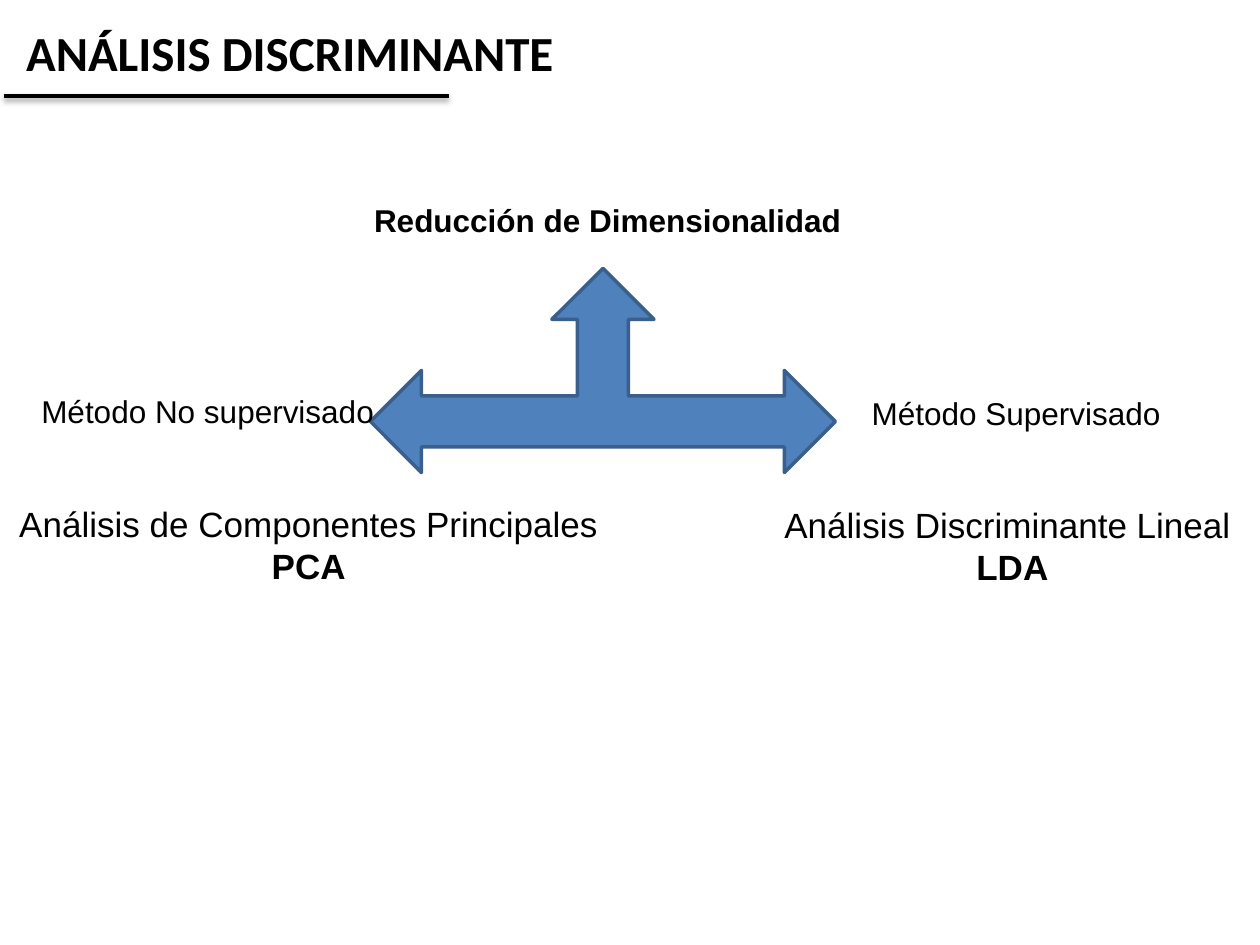
from lxml import etree
from pptx import Presentation
from pptx import util as u
from pptx.dml.color import RGBColor
from pptx.enum import shapes, text
from pptx.oxml import parse_xml
from pptx.oxml.ns import nsdecls

I = u.Inches
BLACK, BLUE, DARK_BLUE = "000000", "4F81BD", "3A5F8C"


def colour(value):
    """Turn a hex string into a colour."""
    return RGBColor.from_string(value)


def add_label(slide, box, lines, size, bold_lines=(), font="Arial", align=None):
    """Write unwrapped lines of text in a box, some of them bold."""
    label = slide.shapes.add_textbox(*map(I, box))
    frame = label.text_frame
    frame.text = "\n".join(lines)
    frame.word_wrap = False
    frame.auto_size = text.MSO_AUTO_SIZE.SHAPE_TO_FIT_TEXT
    for index, paragraph in enumerate(frame.paragraphs):
        paragraph.alignment = align
        for run in paragraph.runs:
            run.font.name = font
            run.font.size = u.Pt(size)
            run.font.bold = index in bold_lines
            run.font.color.rgb = colour(BLACK)


def add_shadow(connector):
    """Give a connector a soft shadow straight below it."""
    effects = parse_xml(
        f'<a:effectLst {nsdecls("a")}>'
        '<a:outerShdw blurRad="39370" dist="22860" dir="5400000" rotWithShape="0">'
        f'<a:srgbClr val="{BLACK}"><a:alpha val="35000"/></a:srgbClr>'
        '</a:outerShdw></a:effectLst>')
    connector._element.spPr.append(effects)


def add_heading(slide, left, top, width, height):
    """Place the title and its rule within the heading box."""
    add_label(slide, (left + 0.08, top, 4.44, 0.57), ["ANÁLISIS DISCRIMINANTE"],
              28, bold_lines=(0,), font="Calibri")
    bottom = I(top + height)
    rule = slide.shapes.add_connector(
        shapes.MSO_CONNECTOR.STRAIGHT, I(left), bottom, I(left + width), bottom)
    rule.line.color.rgb = colour(BLACK)
    rule.line.width = u.Pt(2.25)
    add_shadow(rule)


def add_arrow(slide, left, top, width, height):
    """Draw the three-way arrow that joins the methods to their goal."""
    arrow = slide.shapes.add_shape(
        shapes.MSO_SHAPE.LEFT_RIGHT_UP_ARROW, *map(I, (left, top, width, height)))
    arrow.shadow.inherit = False
    arrow.fill.solid()
    arrow.fill.fore_color.rgb = colour(BLUE)
    arrow.line.color.rgb = colour(DARK_BLUE)
    arrow.line.width = u.Pt(2)


def add_method(slide, method_box, technique_box, method, technique, acronym):
    """Place a method label and the technique that represents it."""
    add_label(slide, method_box, [method], 18)
    add_label(slide, technique_box, [technique, acronym], 20,
              bold_lines=(1,), align=text.PP_ALIGN.CENTER)


def main():
    """Build and save the slide."""
    deck = Presentation()
    deck.slide_width, deck.slide_height = I(10), I(7.5)
    slide = deck.slides.add_slide(deck.slide_layouts[6])
    add_heading(slide, 0.03, 0.13, 3.53, 0.63)
    add_label(slide, (2.87, 1.55, 3.95, 0.4), ["Reducción de Dimensionalidad"],
              18, bold_lines=(0,))
    add_arrow(slide, 2.94, 2.13, 3.69, 1.62)
    add_method(slide, (0.23, 3.06, 2.87, 0.4), (0.03, 3.94, 4.84, 0.77),
               "Método No supervisado", "Análisis de Componentes Principales", "PCA")
    add_method(slide, (6.82, 3.08, 2.52, 0.4), (6.11, 3.95, 3.85, 0.77),
               "Método Supervisado", "Análisis Discriminante Lineal ", "LDA")
    deck.save("out.pptx")


if __name__ == "__main__":
    main()
